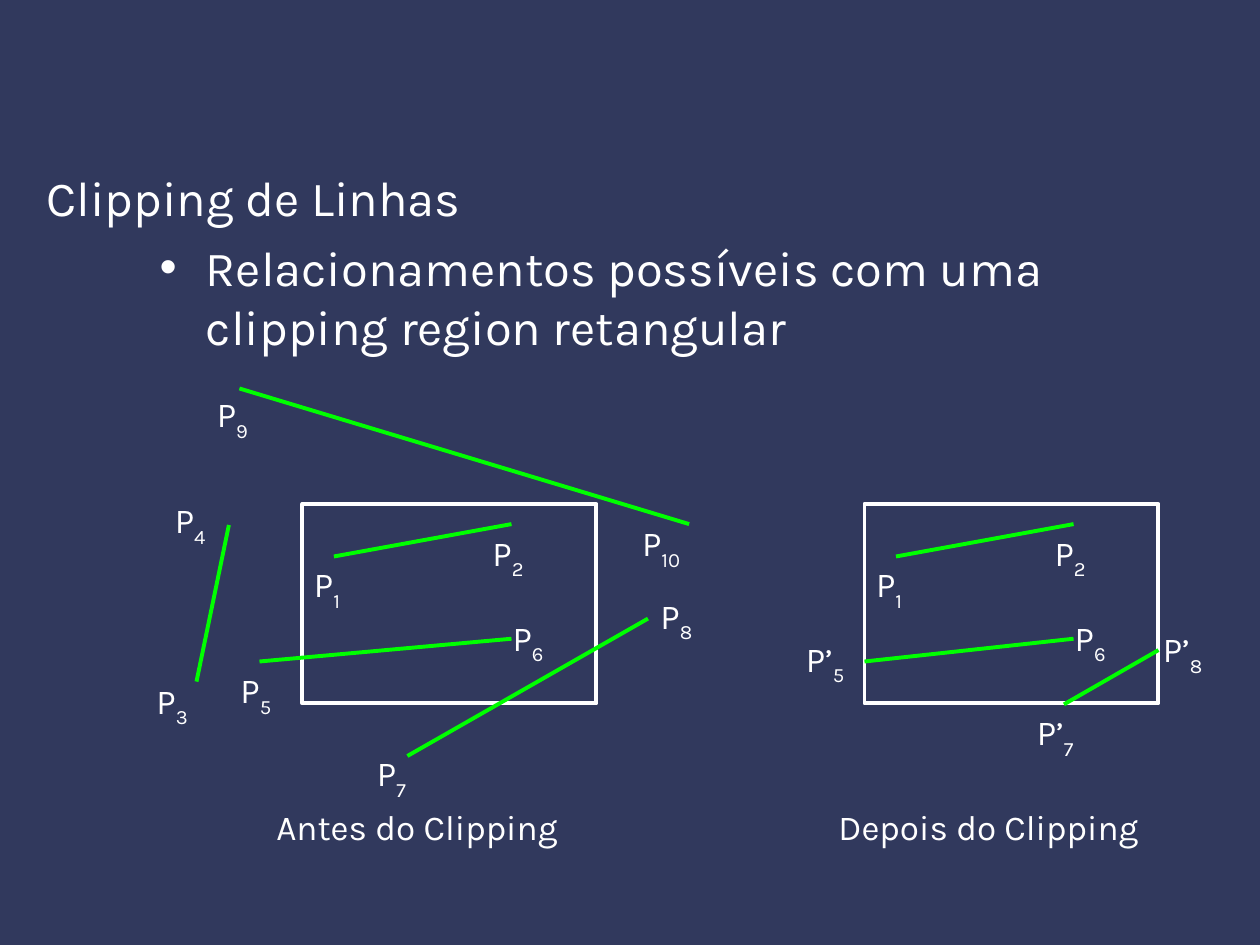
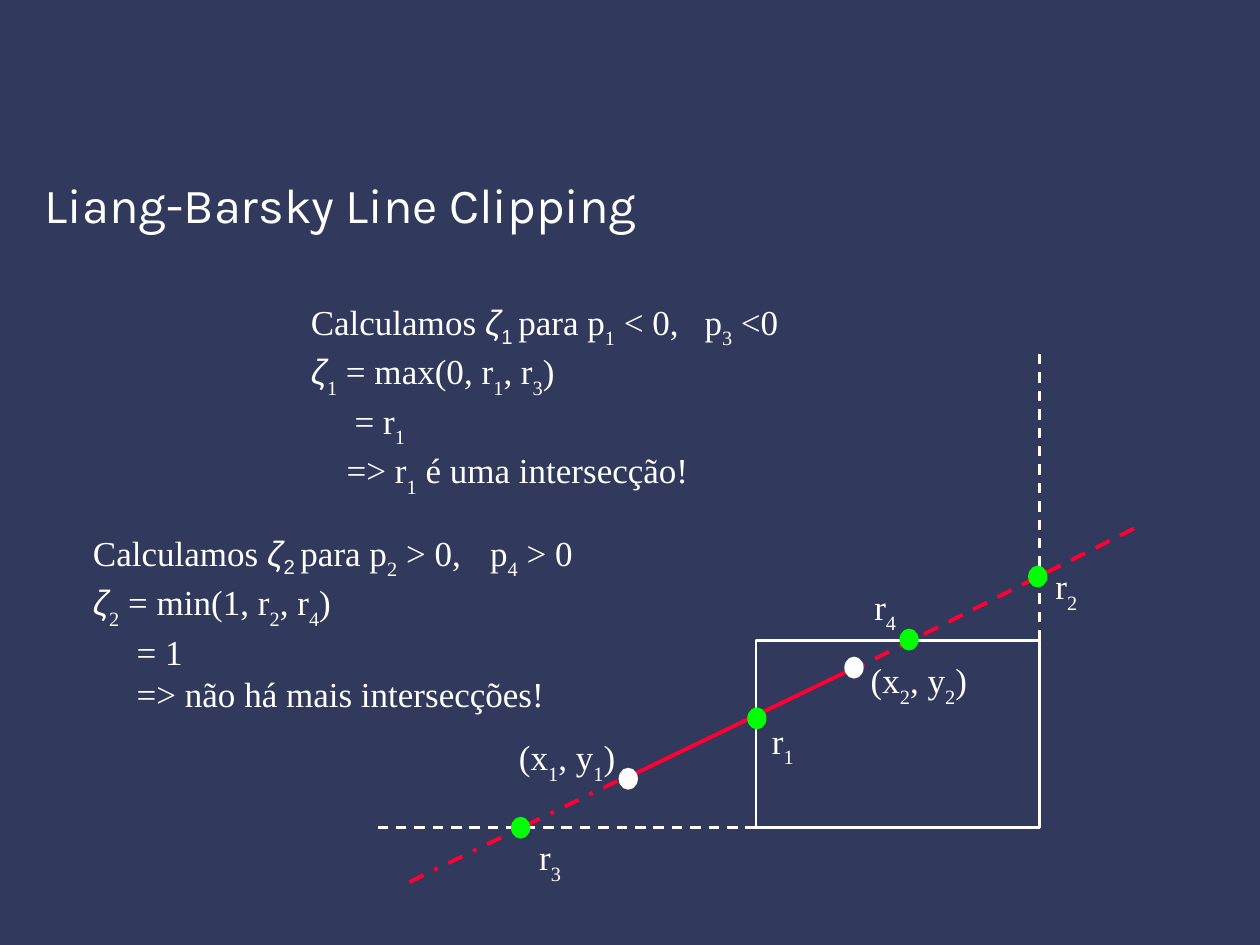
from dataclasses import dataclass
from typing import NamedTuple, Optional

from lxml import etree
from pptx import Presentation
from pptx import util as u
from pptx.dml import color
from pptx.enum import dml, shapes, text
from pptx.oxml import ns

Pt = u.Pt
DASH = dml.MSO_LINE.DASH
DOTTED = dml.MSO_LINE.DASH_DOT


@dataclass(frozen=True)
class Theme:
    back: color.RGBColor = color.RGBColor(0x31, 0x39, 0x5D)
    white: color.RGBColor = color.RGBColor(0xFF, 0xFF, 0xFF)
    green: color.RGBColor = color.RGBColor(0x00, 0xFF, 0x00)
    red: color.RGBColor = color.RGBColor(0xFF, 0x00, 0x33)
    sans: str = "Karla"
    serif: str = "Times New Roman"
    greek: str = "Arial"
    head: int = 28
    small: int = 20
    thin: float = 1.5
    thick: float = 2.25


T = Theme()


class Box(NamedTuple):
    x: float
    y: float
    w: float
    h: float

    def lengths(self) -> list:
        return [Pt(v) for v in self]


class Line(NamedTuple):
    x1: float
    y1: float
    x2: float
    y2: float
    ink: color.RGBColor = T.green
    width: float = T.thick
    dash: Optional[dml.MSO_LINE] = None


class Label(NamedTuple):
    words: str
    x: float
    y: float
    w: float = 37


class Dot(NamedTuple):
    x: float
    y: float
    ink: color.RGBColor


class Row(NamedTuple):
    words: str
    indent: float = 0
    tab: float = 0


class Look(NamedTuple):
    font: Optional[str] = None
    italic: bool = False
    drop: int = 0


@dataclass(frozen=True)
class Panel:
    left: float
    title: str
    lines: list
    labels: list


MARKS = {
    "_": Look(drop=-30),
    "*": Look(T.greek, italic=True),
    "~": Look(T.greek, drop=-25),
}


def style(font, face: str, size: float) -> None:
    font.name = face
    font.size = Pt(size)
    font.color.rgb = T.white


def write(para, words: str, face: str) -> None:
    for part in filter(None, words.split("|")):
        look = MARKS.get(part[0], Look())
        run = para.add_run()
        run.text = part[1:] if part[0] in MARKS else part
        style(run.font, look.font or face, T.small)
        run.font.italic = look.italic
        if look.drop:
            run._r.get_or_add_rPr().set("baseline", str(look.drop * 1000))


def add_rows(group, box: Box, rows: list, face: str) -> None:
    frame = group.add_textbox(*box.lengths()).text_frame
    frame.word_wrap = True
    for i, row in enumerate(rows):
        para = frame.add_paragraph() if i else frame.paragraphs[0]
        props = para._p.get_or_add_pPr()
        props.set("marL", str(Pt(row.indent)))
        if row.tab:
            tabs = etree.SubElement(props, ns.qn("a:tabLst"))
            etree.SubElement(tabs, ns.qn("a:tab"), pos=str(Pt(row.tab)), algn="l")
        write(para, row.words, face)


def add_label(group, label: Label, face: str, x: float = 0, y: float = 0) -> None:
    box = Box(label.x + x, label.y + y, label.w, 35)
    add_rows(group, box, [Row(label.words)], face)


def add_line(group, line: Line, x: float = 0, y: float = 0) -> None:
    ends = [Pt(v) for v in (line.x1 + x, line.y1 + y, line.x2 + x, line.y2 + y)]
    link = group.add_connector(shapes.MSO_CONNECTOR.STRAIGHT, *ends)
    link.line.color.rgb = line.ink
    link.line.width = Pt(line.width)
    if line.dash:
        link.line.dash_style = line.dash
    etree.SubElement(link._element.spPr, ns.qn("a:effectLst"))


def add_frame(group, box: Box, width: float) -> None:
    frame = group.add_shape(shapes.MSO_SHAPE.RECTANGLE, *box.lengths())
    frame.shadow.inherit = False
    frame.fill.background()
    frame.line.color.rgb = T.white
    frame.line.width = Pt(width)


def add_dot(group, dot: Dot) -> None:
    w, h = 10, 11.5
    box = Box(dot.x - w / 2, dot.y - h / 2, w, h)
    oval = group.add_shape(shapes.MSO_SHAPE.OVAL, *box.lengths())
    oval.shadow.inherit = False
    oval.fill.solid()
    oval.fill.fore_color.rgb = dot.ink
    oval.line.color.rgb = dot.ink
    oval.line.width = Pt(1)


def fill_holder(holder, box: Box, words: str, anchor):
    holder.left, holder.top, holder.width, holder.height = box.lengths()
    frame = holder.text_frame
    frame.text = words
    frame.word_wrap = True
    frame.auto_size = text.MSO_AUTO_SIZE.NONE
    frame.vertical_anchor = anchor
    para = frame.paragraphs[0]
    para.alignment = text.PP_ALIGN.LEFT
    para.space_before = Pt(0)
    style(para.runs[0].font, T.sans, T.head)
    return para


def start(deck, kind: int, title: str, box: Box):
    slide = deck.slides.add_slide(deck.slide_layouts[kind])
    fill_holder(slide.shapes.title, box, title, text.MSO_ANCHOR.MIDDLE)
    return slide


def add_bullet(para, indent: float) -> None:
    props = para._p.get_or_add_pPr()
    props.set("marL", str(Pt(indent)))
    props.set("indent", str(-Pt(indent)))
    tint = etree.SubElement(props, ns.qn("a:buClr"))
    etree.SubElement(tint, ns.qn("a:srgbClr"), val=str(T.white))
    etree.SubElement(props, ns.qn("a:buChar"), char="•")


TOP = 288
INNER = Line(18, 30, 119.5, 11.5)
KEPT = [Label("P|_1", -0.5, 30), Label("P|_2", 101.5, 12), Label("P|_6", 113, 60.5)]
PANELS = [
    Panel(
        172.8,
        "Antes do Clipping",
        [
            Line(-36, -66, 221, 11.5),
            Line(-42, 12, -60.5, 101.5),
            INNER,
            Line(-24.5, 90, 119.5, 77),
            Line(60, 144, 197.5, 65.5),
        ],
        KEPT
        + [
            Label("P|_3", -90.5, 96.5),
            Label("P|_4", -80, -6.5),
            Label("P|_5", -42.5, 90.5),
            Label("P|_7", 35.5, 138),
            Label("P|_8", 197.5, 48),
            Label("P|_9", -56, -67),
            Label("P|_10", 187, 6.5, 45),
        ],
    ),
    Panel(
        494,
        "Depois do Clipping",
        [INNER, Line(0, 90, 119.5, 77), Line(114, 114.5, 168, 83.5)],
        KEPT
        + [
            Label("P’|_5", -40.5, 72.5, 45),
            Label("P’|_7", 91.5, 114.5, 45),
            Label("P’|_8", 163.5, 67, 45),
        ],
    ),
]


def add_panel(slide, panel: Panel) -> None:
    group = slide.shapes.add_group_shape().shapes
    add_frame(group, Box(panel.left, TOP, 168, 114), T.thick)
    for line in panel.lines:
        add_line(group, line, panel.left, TOP)
    for label in panel.labels:
        add_label(group, label, T.sans, panel.left, TOP)
    add_label(group, Label(panel.title, -22, 168.5, 220), T.sans, panel.left, TOP)


def draw_cases(deck) -> None:
    slide = start(deck, 1, "Clipping de Linhas", Box(19.5, 92, 646.5, 41))
    para = fill_holder(
        slide.placeholders[1],
        Box(84, 132, 612, 378),
        "Relacionamentos possíveis com uma clipping region retangular",
        text.MSO_ANCHOR.TOP,
    )
    add_bullet(para, 26.5)
    for panel in PANELS:
        add_panel(slide, panel)


WINDOW = Box(432, 366, 162, 107)
RIGHT = WINDOW.x + WINDOW.w
BASE = WINDOW.y + WINDOW.h
RAYS = [
    Line(RIGHT, WINDOW.y, RIGHT, 198, T.white, T.thin, DASH),
    Line(WINDOW.x, BASE, 216, BASE, T.white, T.thin, DASH),
    Line(360, 443.5, 485.5, 383, T.red),
    Line(234, 504, 359.5, 443, T.red, dash=DOTTED),
    Line(486, 383.5, 654, 299, T.red, dash=DASH),
]
DOTS = [
    Dot(359, 445, T.white),
    Dot(488, 381.5, T.white),
    Dot(593, 329.5, T.green),
    Dot(519.5, 365.5, T.green),
    Dot(432.5, 410.5, T.green),
    Dot(297.5, BASE, T.green),
]
POINTS = [
    Label("(x|_1|, y|_1|)", 289.5, 417, 72),
    Label("(x|_2|, y|_2|)", 490.5, 373, 72),
    Label("r|_3", 301, 474),
    Label("r|_1", 434, 407.5),
    Label("r|_4", 492.5, 331),
    Label("r|_2", 596, 319),
]
NOTES = [
    (
        Box(170.5, 168, 301, 120),
        [
            Row("Calculamos |*ζ|~1 |para p|_1| < 0,\tp|_3| <0", tab=225),
            Row("*ζ|_1| = max(0, r|_1|, r|_3|)"),
            Row("= r|_1", 25),
            Row("=> r|_1| é uma intersecção!", 20.5),
        ],
    ),
    (
        Box(46, 300, 311, 112),
        [
            Row("Calculamos |*ζ|~2 |para p|_2| > 0,\tp|_4| > 0", tab=227),
            Row("*ζ|_2| = min(1, r|_2|, r|_4|)"),
            Row("= 1", 25),
            Row("=> não há mais intersecções!", 25),
        ],
    ),
]


def draw_method(deck) -> None:
    slide = start(deck, 5, "Liang-Barsky Line Clipping", Box(18.5, 93, 677, 47))
    group = slide.shapes.add_group_shape().shapes
    add_frame(group, WINDOW, T.thin)
    for ray in RAYS:
        add_line(group, ray)
    for dot in DOTS:
        add_dot(group, dot)
    for point in POINTS:
        add_label(slide.shapes, point, T.serif)
    for box, rows in NOTES:
        add_rows(slide.shapes, box, rows, T.serif)


def main() -> None:
    deck = Presentation()
    deck.slide_width, deck.slide_height = Pt(720), Pt(540)
    fill = deck.slide_master.background.fill
    fill.solid()
    fill.fore_color.rgb = T.back
    draw_cases(deck)
    draw_method(deck)
    deck.save("out.pptx")


if __name__ == "__main__":
    main()
